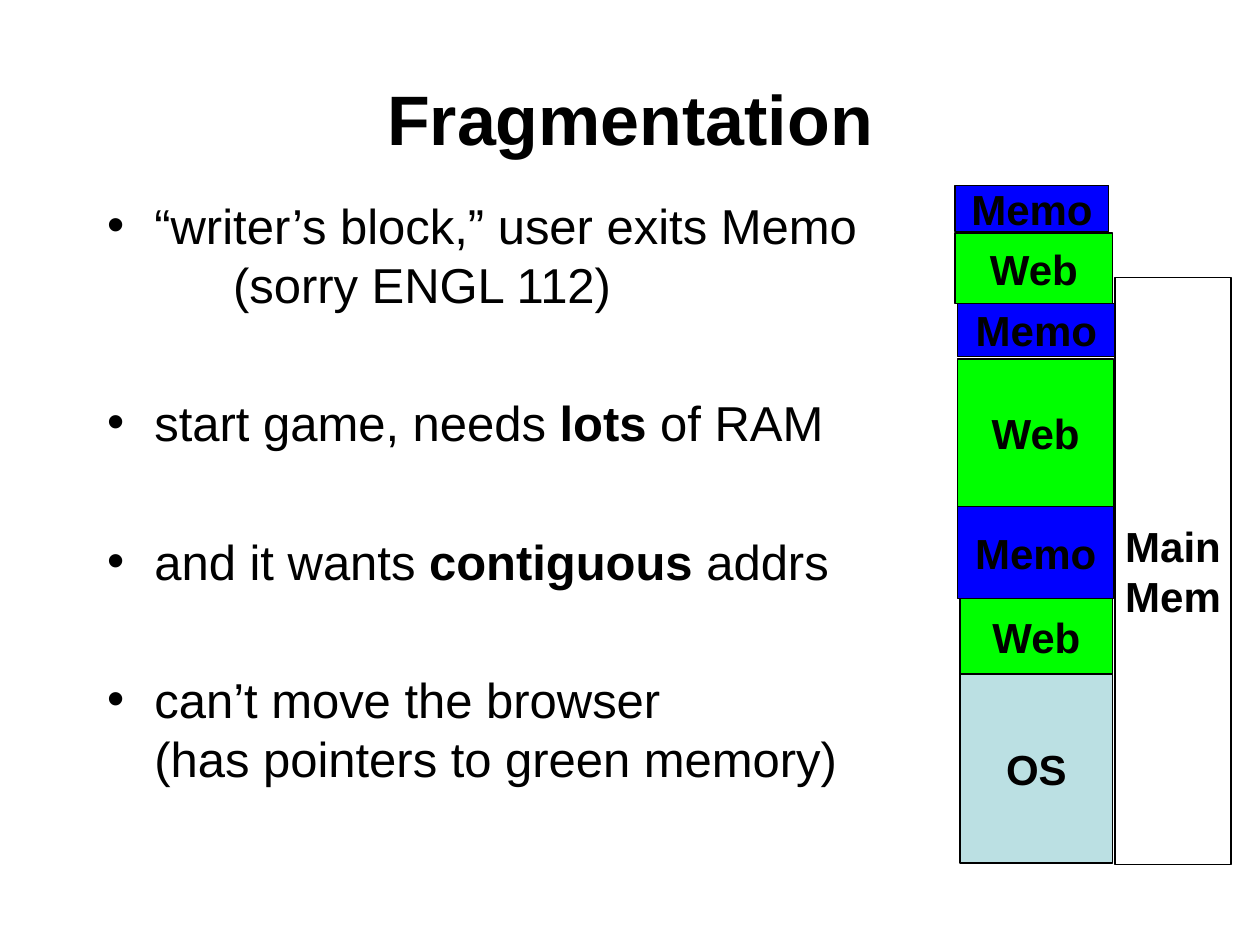
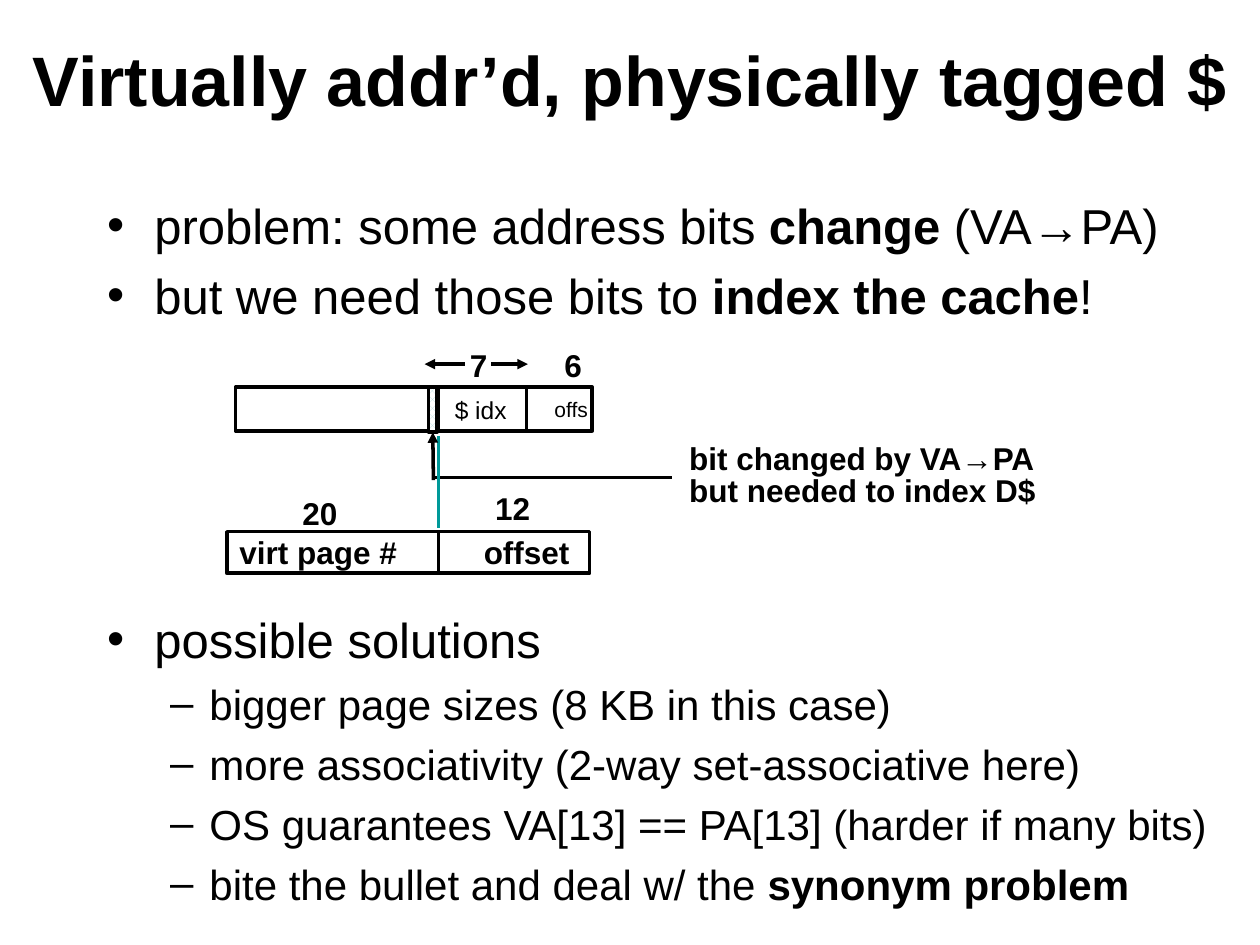
from copy import deepcopy
from dataclasses import dataclass
from typing import NamedTuple, Optional

from lxml import etree
from pptx import Presentation
from pptx.dml.color import RGBColor
from pptx.enum import dml, shapes, text
from pptx.oxml import ns
from pptx.util import Inches, Pt


# Theme: colours and type sizes
@dataclass(frozen=True)
class Theme:
    font: str = "Arial"
    black: str = "000000"
    white: str = "FFFFFF"
    green: str = "00FF00"
    blue: str = "0000FF"
    pale: str = "BBE0E3"
    teal: str = "009999"
    title: float = 40
    bullet: float = 28
    sub_bullet: float = 24
    block: float = 24
    label: float = 18
    index: float = 14
    small: float = 12
    thin: float = 0.75
    thick: float = 2


THEME = Theme()


class Area(NamedTuple):
    left: float
    top: float
    width: float
    height: float


class Bullet(NamedTuple):
    words: str  # **bold** parts, \v for a line break
    before: float = 0
    level: int = 0


class Block(NamedTuple):
    words: str
    area: Area
    color: str


class Label(NamedTuple):
    words: str
    area: Area
    size: float = THEME.label
    bold: bool = True
    spacing: float = 0.85
    centred: bool = False


class Stroke(NamedTuple):
    start: tuple[float, float]
    end: tuple[float, float]
    arrow: bool = False
    color: str = THEME.black


# Shared helpers
def rgb(color: str) -> RGBColor:
    return RGBColor.from_string(color)


def inches(area: Area) -> list:
    return [Inches(value) for value in area]


def move(shape, area: Area) -> None:
    shape.left, shape.top, shape.width, shape.height = inches(area)


def style(span, size: float, bold: bool) -> None:
    span.font.name = THEME.font
    span.font.size = Pt(size)
    span.font.bold = bold
    span.font.color.rgb = rgb(THEME.black)


def style_frame(frame, size: float, bold: bool, align, spacing: Optional[float] = None) -> None:
    for para in frame.paragraphs:
        para.alignment = align
        if spacing:
            para.line_spacing = spacing
        for span in para.runs:
            style(span, size, bold)


def write_bullet(para, bullet: Bullet) -> None:
    para.level = bullet.level
    para.space_before = Pt(bullet.before)
    size = THEME.sub_bullet if bullet.level else THEME.bullet
    for number, part in enumerate(bullet.words.split("**")):
        for row, line in enumerate(part.split("\v")):
            if row:
                para.add_line_break()
            if line:
                span = para.add_run()
                span.text = line
                style(span, size, number % 2 == 1)
    for line_break in para._p.findall(ns.qn("a:br")):
        line_break.append(deepcopy(para.runs[0].font._element))


def add_page(deck, title: str, title_area: Area, body_area: Area, bullets: list[Bullet],
             title_spacing: Optional[float] = None):
    page = deck.slides.add_slide(deck.slide_layouts[1])
    heading, body = page.placeholders
    move(heading, title_area)
    heading.text_frame.text = title
    heading.text_frame.vertical_anchor = text.MSO_ANCHOR.MIDDLE
    style_frame(heading.text_frame, THEME.title, True, text.PP_ALIGN.CENTER, title_spacing)
    move(body, body_area)
    frame = body.text_frame
    for box in (heading, body):
        box.text_frame.auto_size = text.MSO_AUTO_SIZE.NONE
    for number, bullet in enumerate(bullets):
        write_bullet(frame.add_paragraph() if number else frame.paragraphs[0], bullet)
    return page


def add_box(page, area: Area, width: float):
    box = page.shapes.add_shape(shapes.MSO_SHAPE.RECTANGLE, *inches(area))
    box.shadow.inherit = False
    box.fill.background()
    box.line.color.rgb = rgb(THEME.black)
    box.line.width = Pt(width)
    return box


def add_block(page, block: Block) -> None:
    box = add_box(page, block.area, THEME.thin)
    box.fill.solid()
    box.fill.fore_color.rgb = rgb(block.color)
    frame = box.text_frame
    frame.text = block.words
    frame.word_wrap = False
    frame.vertical_anchor = text.MSO_ANCHOR.MIDDLE
    style_frame(frame, THEME.block, True, text.PP_ALIGN.CENTER)


def add_label(page, label: Label) -> None:
    box = page.shapes.add_textbox(*inches(label.area))
    frame = box.text_frame
    frame.text = label.words
    frame.word_wrap = label.centred
    frame.auto_size = text.MSO_AUTO_SIZE.SHAPE_TO_FIT_TEXT
    frame.margin_left = frame.margin_right = Inches(0.07)
    frame.margin_top = frame.margin_bottom = Inches(0.03)
    align = text.PP_ALIGN.CENTER if label.centred else text.PP_ALIGN.LEFT
    style_frame(frame, label.size, label.bold, align, label.spacing)


def add_stroke(page, stroke: Stroke):
    points = [Inches(value) for value in (*stroke.start, *stroke.end)]
    line = page.shapes.add_connector(shapes.MSO_CONNECTOR.STRAIGHT, *points)
    line.line.color.rgb = rgb(stroke.color)
    line.line.width = Pt(THEME.thick)
    if stroke.arrow:
        etree.SubElement(line.line._get_or_add_ln(), ns.qn("a:tailEnd"), type="triangle")
    etree.SubElement(line._element.spPr, ns.qn("a:effectLst"))
    return line


# Slide 1: memory map split between two programs
def build_fragmentation(deck) -> None:
    gap = 45.5
    page = add_page(
        deck, "Fragmentation", Area(0.75, 0.39, 8.5, 1.25), Area(0.75, 1.5, 6.59, 5.83),
        [
            Bullet("“writer’s block,” user exits Memo\v\t\t(sorry ENGL 112)"),
            Bullet("start game, needs **lots **of RAM", gap),
            Bullet("and it wants **contiguous **addrs", gap),
            Bullet("can’t move the browser\v(has pointers to green memory)", gap),
        ],
        title_spacing=0.7,
    )
    for block in (
        Block("Main\nMem", Area(8.85, 2.2, 0.92, 4.66), THEME.white),
        Block("OS", Area(7.62, 5.35, 1.21, 1.5), THEME.pale),
        Block("Web", Area(7.62, 4.75, 1.21, 0.6), THEME.green),
        Block("Web", Area(7.6, 2.85, 1.24, 1.17), THEME.green),
        Block("Web", Area(7.58, 1.85, 1.25, 0.56), THEME.green),
        Block("Memo", Area(7.6, 4.02, 1.24, 0.73), THEME.blue),
        Block("Memo", Area(7.58, 1.47, 1.22, 0.37), THEME.blue),
        Block("Memo", Area(7.6, 2.41, 1.25, 0.42), THEME.blue),
    ):
        add_block(page, block)


# Slide 2: address fields against cache index
def build_tagged_cache(deck) -> None:
    sub_gap = 5.5
    page = add_page(
        deck, "Virtually addr’d, physically tagged $", Area(0, 0, 10, 1.25),
        Area(0.75, 1.5, 9.25, 6),
        [
            Bullet("problem: some address bits **change** (VA→PA)"),
            Bullet("but we need those bits to **index the cache**!", 6.5),
            Bullet("possible solutions", 163),
            Bullet("bigger page sizes (8 KB in this case)", sub_gap, 1),
            Bullet("more associativity (2-way set-associative here)", sub_gap, 1),
            Bullet("OS guarantees VA[13] == PA[13] (harder if many bits)", sub_gap, 1),
            Bullet("bite the bullet and deal w/ the **synonym problem**", sub_gap, 1),
        ],
    )

    # Physical and virtual address bars, with the changed bit
    cache_top, cache_bottom = 3.07, 3.42
    page_top, page_bottom = 4.22, 4.55
    page_split, index_split, bit_middle = 3.48, 4.18, 3.44
    add_box(page, Area(1.87, cache_top, 2.83, cache_bottom - cache_top), THEME.thick)
    add_box(page, Area(1.8, page_top, 2.88, page_bottom - page_top), THEME.thick)
    changed_bit = add_box(page, Area(3.4, cache_top, 0.07, 0.36), THEME.thick)
    changed_bit.fill.patterned()
    changed_bit.fill.pattern = dml.MSO_PATTERN.PERCENT_50
    changed_bit.fill.fore_color.rgb = rgb(THEME.pale)
    changed_bit.fill.back_color.rgb = rgb(THEME.white)

    # Field dividers, width arrows and guide lines
    for stroke in (
        Stroke((index_split, cache_top), (index_split, cache_bottom)),
        Stroke((page_split, cache_top), (page_split, cache_bottom)),
        Stroke((page_split, page_top), (page_split, page_bottom)),
        Stroke((3.9, 2.89), (4.19, 2.89), arrow=True),
        Stroke((3.69, 2.89), (3.37, 2.89), arrow=True),
        Stroke((3.45, 3.79), (5.33, 3.79)),
        Stroke((page_split, 3.46), (page_split, 4.19), color=THEME.teal),
    ):
        add_stroke(page, stroke)
    pointer = add_stroke(page, Stroke((bit_middle, 3.81), (bit_middle, 3.43), arrow=True))
    pointer.end_connect(changed_bit, 2)

    # Field names and widths
    for label in (
        Label("7", Area(3.66, 2.76, 0.28, 0.31)),
        Label("6", Area(4.41, 2.76, 0.28, 0.31)),
        Label("offs", Area(4.33, 3.15, 0.41, 0.23), THEME.small, bold=False),
        Label("virt page #", Area(1.83, 4.25, 1.4, 0.31)),
        Label("offset", Area(3.77, 4.25, 0.83, 0.31)),
        Label("20", Area(2.33, 3.94, 0.42, 0.31)),
        Label("12", Area(3.86, 3.9, 0.42, 0.31)),
        Label("$ idx", Area(3.52, 3.17, 0.59, 0.23), THEME.index, False, 0.7, True),
        Label("bit changed by VA→PA\nbut needed to index D$", Area(5.4, 3.5, 3, 0.57)),
    ):
        add_label(page, label)


def main() -> None:
    deck = Presentation()
    deck.slide_width, deck.slide_height = Inches(10), Inches(7.5)
    build_fragmentation(deck)
    build_tagged_cache(deck)
    deck.save("out.pptx")


if __name__ == "__main__":
    main()
